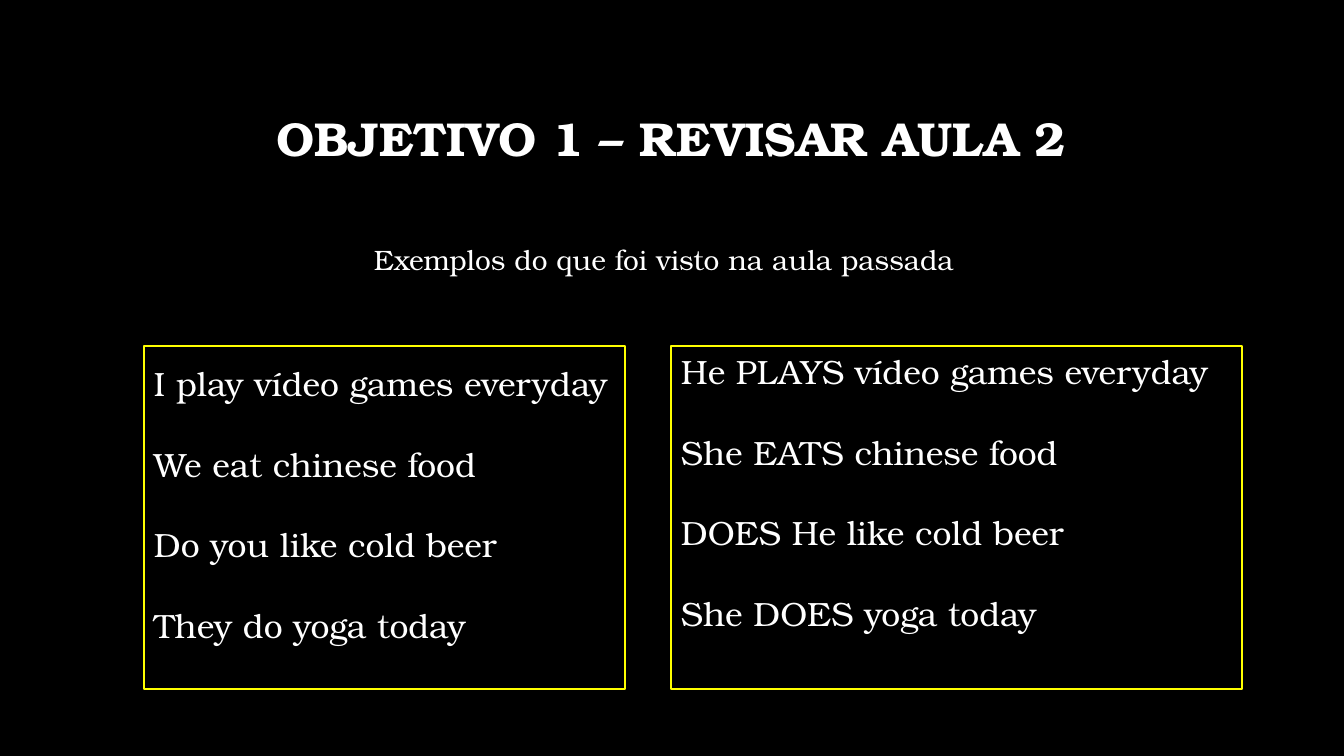
"""Build the lesson review slide with two framed lists of example sentences."""
import pptx
import pptx.util
import pptx.dml.color
import pptx.enum.shapes
import pptx.enum.text

TITLE = "OBJETIVO 1 – REVISAR AULA 2"
SUBTITLE = "Exemplos do que foi visto na aula passada"
COLUMNS = [
    {
        "text": (144, 358, 528, 295),
        "frame": (144, 346, 481, 343),
        "sentences": [
            "I play vídeo games everyday",
            "We eat chinese food",
            "Do you like cold beer",
            "They do yoga today",
        ],
    },
    {
        "text": (671, 346, 616, 295),
        "frame": (671, 346, 571, 343),
        "sentences": [
            "He PLAYS vídeo games everyday",
            "She EATS chinese food",
            "DOES He like cold beer",
            "She DOES yoga today",
        ],
    },
]
TITLE_AREA = (101, 68, 1141, 146)
SUBTITLE_AREA = (364, 231, 963, 86)
PAGE_SIZE = (1344, 756)
EMU_PER_PX = 914400 / 100.8

FONT = "TeX Gyre Bonum"
BLACK = pptx.dml.color.RGBColor(0, 0, 0)
WHITE = pptx.dml.color.RGBColor(255, 255, 255)
YELLOW = pptx.dml.color.RGBColor(255, 255, 0)


def px(*lengths):
    return [pptx.util.Emu(round(length * EMU_PER_PX)) for length in lengths]


def write(box, lines, size, bold=False, align=pptx.enum.text.PP_ALIGN.LEFT,
          anchor=pptx.enum.text.MSO_ANCHOR.TOP, spacing=1.0, before=0, gap=0):
    frame = box.text_frame
    frame.word_wrap = True
    frame.auto_size = pptx.enum.text.MSO_AUTO_SIZE.NONE
    frame.vertical_anchor = anchor
    for index, line in enumerate(lines):
        para = frame.add_paragraph() if index else frame.paragraphs[0]
        para.alignment = align
        para.line_spacing = spacing
        para.space_before = pptx.util.Pt(before)
        para.space_after = pptx.util.Pt(gap)
        span = para.add_run()
        span.text = line
        span.font.name = FONT
        span.font.size = pptx.util.Pt(size)
        span.font.bold = bold
        span.font.color.rgb = WHITE


def main():
    deck = pptx.Presentation()
    deck.slide_width, deck.slide_height = px(*PAGE_SIZE)
    page = deck.slides.add_slide(deck.slide_layouts[5])
    page.background.fill.solid()
    page.background.fill.fore_color.rgb = BLACK

    title = page.shapes.title
    title.left, title.top, title.width, title.height = px(*TITLE_AREA)
    write(title, [TITLE], 34, bold=True, spacing=0.9,
          align=pptx.enum.text.PP_ALIGN.CENTER,
          anchor=pptx.enum.text.MSO_ANCHOR.MIDDLE)

    subtitle = page.shapes.add_textbox(*px(*SUBTITLE_AREA))
    write(subtitle, [SUBTITLE], 20, spacing=1.2, before=10)

    for column in COLUMNS:
        box = page.shapes.add_textbox(*px(*column["text"]))
        write(box, column["sentences"], 24, gap=28.8)
        outline = page.shapes.add_shape(
            pptx.enum.shapes.MSO_SHAPE.RECTANGLE, *px(*column["frame"]))
        outline.shadow.inherit = False
        outline.fill.background()
        outline.line.color.rgb = YELLOW
        outline.line.width = pptx.util.Pt(1.5)

    deck.save("out.pptx")


if __name__ == "__main__":
    main()
